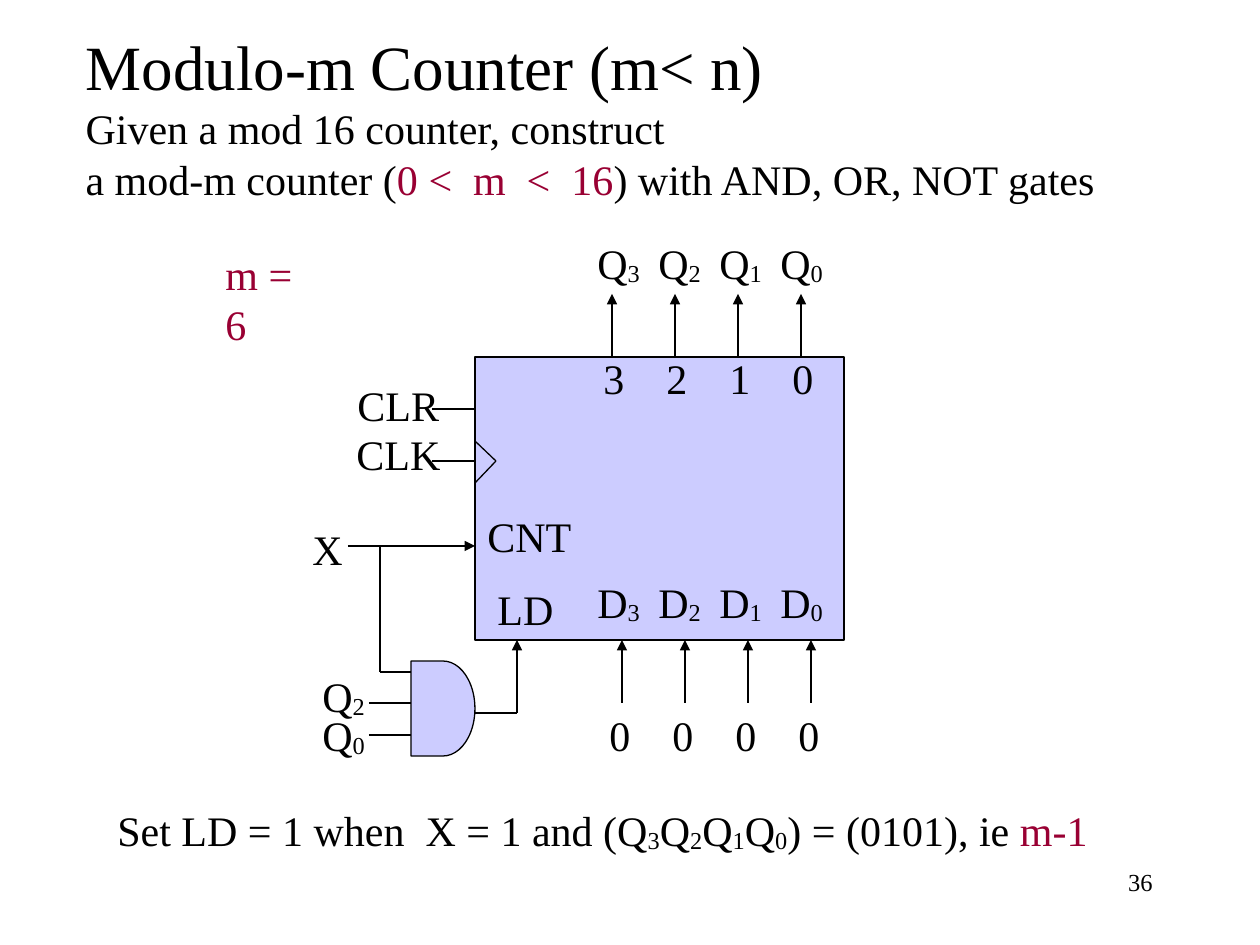
from typing import NamedTuple

import pptx
import pptx.dml.color
import pptx.enum.shapes
import pptx.enum.text
import pptx.oxml
import pptx.oxml.ns
import pptx.util

RGB = pptx.dml.color.RGBColor
SHAPE = pptx.enum.shapes.MSO_SHAPE
ALIGN = pptx.enum.text.PP_ALIGN
BLACK = RGB(0x00, 0x00, 0x00)
CRIMSON = RGB(0x99, 0x00, 0x33)
LAVENDER = RGB(0xCC, 0xCC, 0xFF)

FONT = "Times New Roman"
PX_PER_INCH = 126
TEXT_HEIGHT = 63
ROW_WIDTH = 266
PITCH = 63
LETTER_PITCH = 61


class Run(NamedTuple):
    text: str
    color: RGB = BLACK
    sub: bool = False


class Label(NamedTuple):
    x: int
    y: int
    width: int
    runs: list[Run]
    tab: int = 0
    size: int = 24
    align: ALIGN = ALIGN.LEFT


class Wire(NamedTuple):
    x1: int
    y1: int
    x2: int
    y2: int
    arrow: bool = False


def px(n: int) -> pptx.util.Emu:
    return pptx.util.Emu(round(n * 914400 / PX_PER_INCH))


def indexed(letter: str, digits: str, gap: str = "") -> list[Run]:
    """Return a letter with each digit in turn as its subscript."""
    runs = []
    for i, digit in enumerate(digits):
        runs += [Run((gap if i else "") + letter), Run(digit, sub=True)]
    return runs


def write(p, runs: list[Run], size: int) -> None:
    for run in runs:
        r = p.add_run()
        r.text = run.text
        r.font.name = FONT
        r.font.size = pptx.util.Pt(size)
        r.font.color.rgb = run.color
        if run.sub:
            r.font._element.set("baseline", "-8000")


def set_tabs(p, pitch: int) -> None:
    tabs = pptx.oxml.parse_xml(f"<a:tabLst {pptx.oxml.ns.nsdecls('a')}/>")
    for i in range(1, 4):
        tab = tabs.makeelement(pptx.oxml.ns.qn("a:tab"), {"pos": str(px(i * pitch)), "algn": "l"})
        tabs.append(tab)
    p._p.get_or_add_pPr().append(tabs)


def add_label(slide, label: Label) -> None:
    sp = slide.shapes.add_textbox(px(label.x), px(label.y), px(label.width), px(TEXT_HEIGHT))
    tf = sp.text_frame
    tf.word_wrap = bool(label.tab) or label.align == ALIGN.RIGHT
    p = tf.paragraphs[0]
    p.alignment = label.align
    if label.tab:
        set_tabs(p, label.tab)
    write(p, label.runs, label.size)


def add_wire(slide, wire: Wire) -> None:
    line = slide.shapes.add_connector(
        pptx.enum.shapes.MSO_CONNECTOR.STRAIGHT,
        px(wire.x1), px(wire.y1), px(wire.x2), px(wire.y2))
    line.line.color.rgb = BLACK
    line.line.width = pptx.util.Pt(0.75)
    if wire.arrow:
        line.line._get_or_add_ln().append(pptx.oxml.parse_xml(
            f"<a:tailEnd {pptx.oxml.ns.nsdecls('a')} type='triangle'/>"))
    line._element.spPr.append(pptx.oxml.parse_xml(f"<a:effectLst {pptx.oxml.ns.nsdecls('a')}/>"))


def add_block(slide, kind: SHAPE, x: int, y: int, width: int, height: int) -> None:
    sp = slide.shapes.add_shape(kind, px(x), px(y), px(width), px(height))
    sp.shadow.inherit = False
    sp.fill.solid()
    sp.fill.fore_color.rgb = LAVENDER
    sp.line.color.rgb = BLACK
    sp.line.width = pptx.util.Pt(0.75)


def fill_title(slide) -> None:
    sp = slide.shapes.title
    sp.left, sp.top, sp.width, sp.height = px(73), px(21), px(1155), px(189)
    tf = sp.text_frame
    tf.word_wrap = True
    tf.auto_size = pptx.enum.text.MSO_AUTO_SIZE.NONE
    tf.vertical_anchor = pptx.enum.text.MSO_ANCHOR.TOP
    lines = [
        (36, [Run("Modulo-m Counter (m< n)")]),
        (24, [Run("Given a mod 16 counter, construct")]),
        (24, [Run("a mod-m counter ("), Run("0 <  m  <  16", CRIMSON),
              Run(") with AND, OR, NOT gates")]),
    ]
    for i, (size, runs) in enumerate(lines):
        p = tf.add_paragraph() if i else tf.paragraphs[0]
        p.alignment = ALIGN.LEFT
        write(p, runs, size)


LABELS = [
    Label(213, 242, 123, [Run("m = 6", CRIMSON)]),
    Label(585, 231, ROW_WIDTH, indexed("Q", "3210", "\t"), LETTER_PITCH),
    Label(591, 346, ROW_WIDTH, [Run("3\t2\t1\t0")], PITCH),
    Label(585, 570, ROW_WIDTH, indexed("D", "3210", "\t"), LETTER_PITCH),
    Label(597, 703, ROW_WIDTH, [Run("0\t0\t0\t0")], PITCH),
    Label(345, 373, 107, [Run("CLR")]),
    Label(344, 422, 110, [Run("CLK")]),
    Label(475, 504, 110, [Run("CNT")]),
    Label(485, 577, 82, [Run("LD")]),
    Label(300, 517, 55, [Run("X")]),
    Label(310, 664, 69, indexed("Q", "2")),
    Label(310, 703, 69, indexed("Q", "0")),
    Label(105, 798, 1003, [Run("Set LD = 1 when  X = 1 and ("), *indexed("Q", "3210"),
                           Run(") = (0101), ie "), Run("m-1", CRIMSON)]),
    Label(903, 861, 262, [Run("36")], size=14, align=ALIGN.RIGHT),
]

OUTPUTS = [Wire(612 + i * PITCH, 357, 612 + i * PITCH, 294, True) for i in range(4)]
DATA_INPUTS = [Wire(622 + i * PITCH, 703, 622 + i * PITCH, 640, True) for i in range(4)]
CLOCK = [
    Wire(432, 409, 475, 409),
    Wire(432, 461, 475, 461),
    Wire(475, 441, 496, 461),
    Wire(496, 461, 475, 483),
]
LOAD_LOGIC = [
    Wire(348, 546, 475, 546, True),
    Wire(380, 546, 380, 672),
    Wire(380, 672, 411, 672),
    Wire(369, 703, 411, 703),
    Wire(369, 735, 411, 735),
    Wire(475, 713, 517, 713),
    Wire(517, 713, 517, 640, True),
]


def main() -> None:
    prs = pptx.Presentation()
    prs.slide_width = px(1260)
    prs.slide_height = px(945)
    slide = prs.slides.add_slide(prs.slide_layouts.get_by_name("Title Only"))
    fill_title(slide)
    add_block(slide, SHAPE.RECTANGLE, 475, 357, 369, 283)
    add_block(slide, SHAPE.FLOWCHART_DELAY, 411, 661, 64, 95)
    for wire in OUTPUTS + DATA_INPUTS + CLOCK + LOAD_LOGIC:
        add_wire(slide, wire)
    for label in LABELS:
        add_label(slide, label)
    prs.save("out.pptx")


if __name__ == "__main__":
    main()
